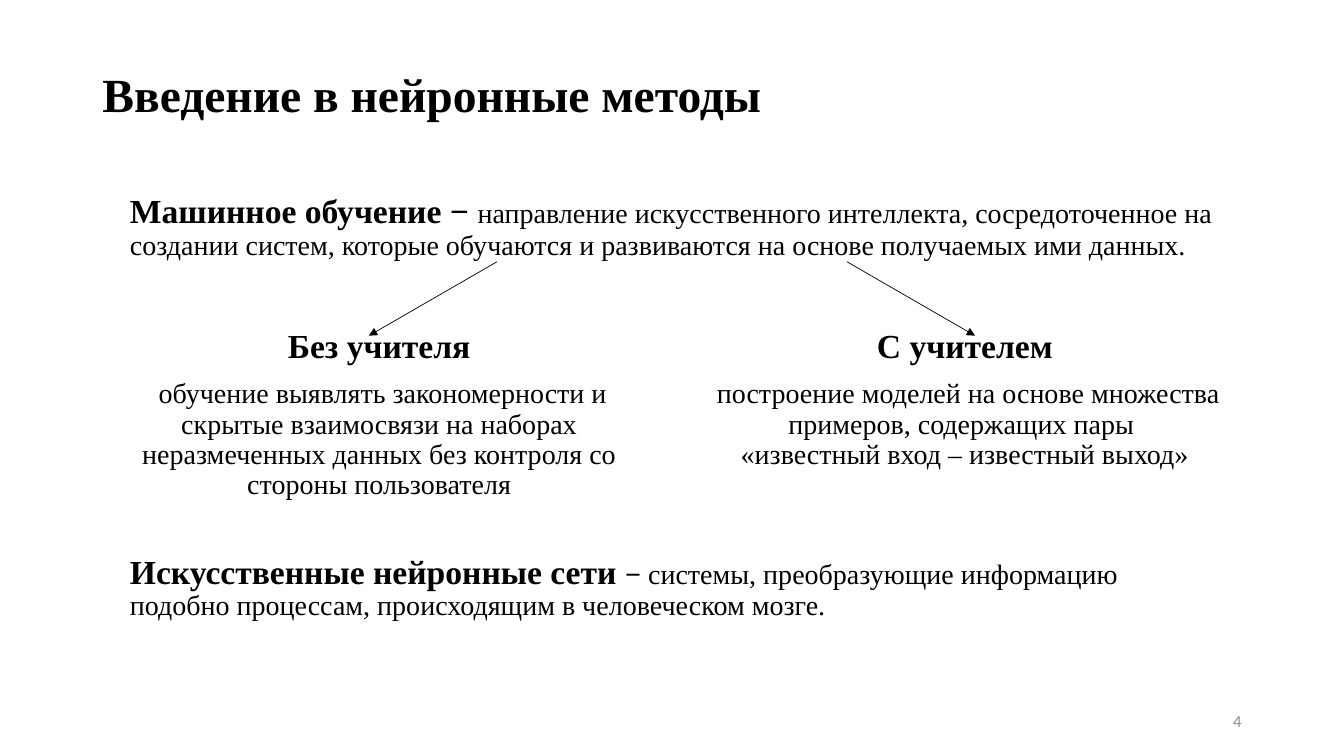
from lxml.etree import SubElement
from pptx import Presentation
from pptx.dml.color import RGBColor
from pptx.enum.shapes import MSO_CONNECTOR
from pptx.enum.text import MSO_ANCHOR as Anchor, MSO_AUTO_SIZE as AutoSize, PP_ALIGN as Align
from pptx.oxml.ns import qn
from pptx.util import Pt

TITLE = "Введение в нейронные методы"
DEFINITIONS = [
    (135.4, 59, [
        ("Машинное обучение − ", 24, True),
        ("направление искусственного интеллекта, сосредоточенное на создании систем, "
         "которые обучаются и развиваются на основе получаемых ими данных.", 20, False),
    ]),
    (393.1, 94.3, [
        ("Искусственные нейронные сети ", 24, True),
        ("− ", 20, True),
        ("системы, преобразующие информацию подобно процессам, "
         "происходящим в человеческом мозге.", 20, False),
    ]),
]
BRANCHES = [
    ("Без учителя",
     " обучение выявлять закономерности и скрытые взаимосвязи на наборах "
     "неразмеченных данных без контроля со стороны пользователя"),
    ("С учителем",
     " построение моделей на основе множества примеров, содержащих пары \n"
     "«известный вход – известный выход»"),
]
PAGE_NUMBER = "4"

BLACK = RGBColor(0x00, 0x00, 0x00)
GRAY = RGBColor(0x8C, 0x8C, 0x8C)
SERIF, SANS = "Times New Roman", "Calibri"
WIDTH, HEIGHT = 960, 540
MARGIN, COLUMN_WIDTH = 66, 409.7
BRANCH_TOP, BRANCH_HEIGHT = 231.8, 148.3
DEFINITION_LEFT, DEFINITION_WIDTH = 85.7, 788.4
ARROW_START, ARROW_END = (355, 187), (263.5, 239.8)
BODY_FORMAT = {"line_spacing": 0.9, "space_before": Pt(10)}


def apply(target, values):
    for name, value in values.items():
        setattr(target, name, value)


def place(shape, left, top, width, height):
    box = dict(left=left, top=top, width=width, height=height)
    apply(shape, {name: Pt(value) for name, value in box.items()})


def write(frame, paragraphs, layout, anchor=Anchor.TOP, font=SERIF, color=BLACK):
    apply(frame, dict(word_wrap=True, auto_size=AutoSize.NONE, vertical_anchor=anchor))
    for index, runs in enumerate(paragraphs):
        paragraph = frame.add_paragraph() if index else frame.paragraphs[0]
        apply(paragraph, layout)
        for text, size, bold in runs:
            for row, line in enumerate(text.split("\n")):
                if row:
                    paragraph.add_line_break()
                run = paragraph.add_run()
                run.text = line
                apply(run.font, dict(name=font, size=Pt(size), bold=bold))
                run.font.color.rgb = color


def add_text(slide, box, *content, **options):
    shape = slide.shapes.add_textbox(*map(Pt, box))
    write(shape.text_frame, *content, **options)


def add_arrow(slide, start, end):
    arrow = slide.shapes.add_connector(MSO_CONNECTOR.STRAIGHT, *map(Pt, start + end))
    arrow.line.width = Pt(0.5)
    arrow.line.color.rgb = BLACK
    SubElement(arrow.line._get_or_add_ln(), qn("a:tailEnd"), type="triangle")
    SubElement(arrow._element.spPr, qn("a:effectLst"))


def mirror(point):
    return WIDTH - point[0], point[1]


def main():
    deck = Presentation()
    apply(deck, dict(slide_width=Pt(WIDTH), slide_height=Pt(HEIGHT)))
    slide = deck.slides.add_slide(deck.slide_layouts[5])

    title = slide.shapes.title
    place(title, MARGIN, 17.3, WIDTH - 2 * MARGIN, 104.4)
    write(title.text_frame, [[(TITLE, 34, True)]],
          dict(alignment=Align.LEFT, line_spacing=0.9), anchor=Anchor.MIDDLE)

    for top, height, runs in DEFINITIONS:
        add_text(slide, (DEFINITION_LEFT, top, DEFINITION_WIDTH, height), [runs], BODY_FORMAT)

    lefts = (MARGIN, WIDTH - MARGIN - COLUMN_WIDTH)
    for left, (heading, description) in zip(lefts, BRANCHES):
        add_text(slide, (left, BRANCH_TOP, COLUMN_WIDTH, BRANCH_HEIGHT),
                 [[(heading, 24, True)], [(description, 20, False)]],
                 {**BODY_FORMAT, "alignment": Align.CENTER})

    add_arrow(slide, ARROW_START, ARROW_END)
    add_arrow(slide, mirror(ARROW_START), mirror(ARROW_END))

    add_text(slide, (678, 500.5, 216, 28.8), [[(PAGE_NUMBER, 12, False)]],
             dict(alignment=Align.RIGHT), anchor=Anchor.MIDDLE, font=SANS, color=GRAY)
    deck.save("out.pptx")


if __name__ == "__main__":
    main()
